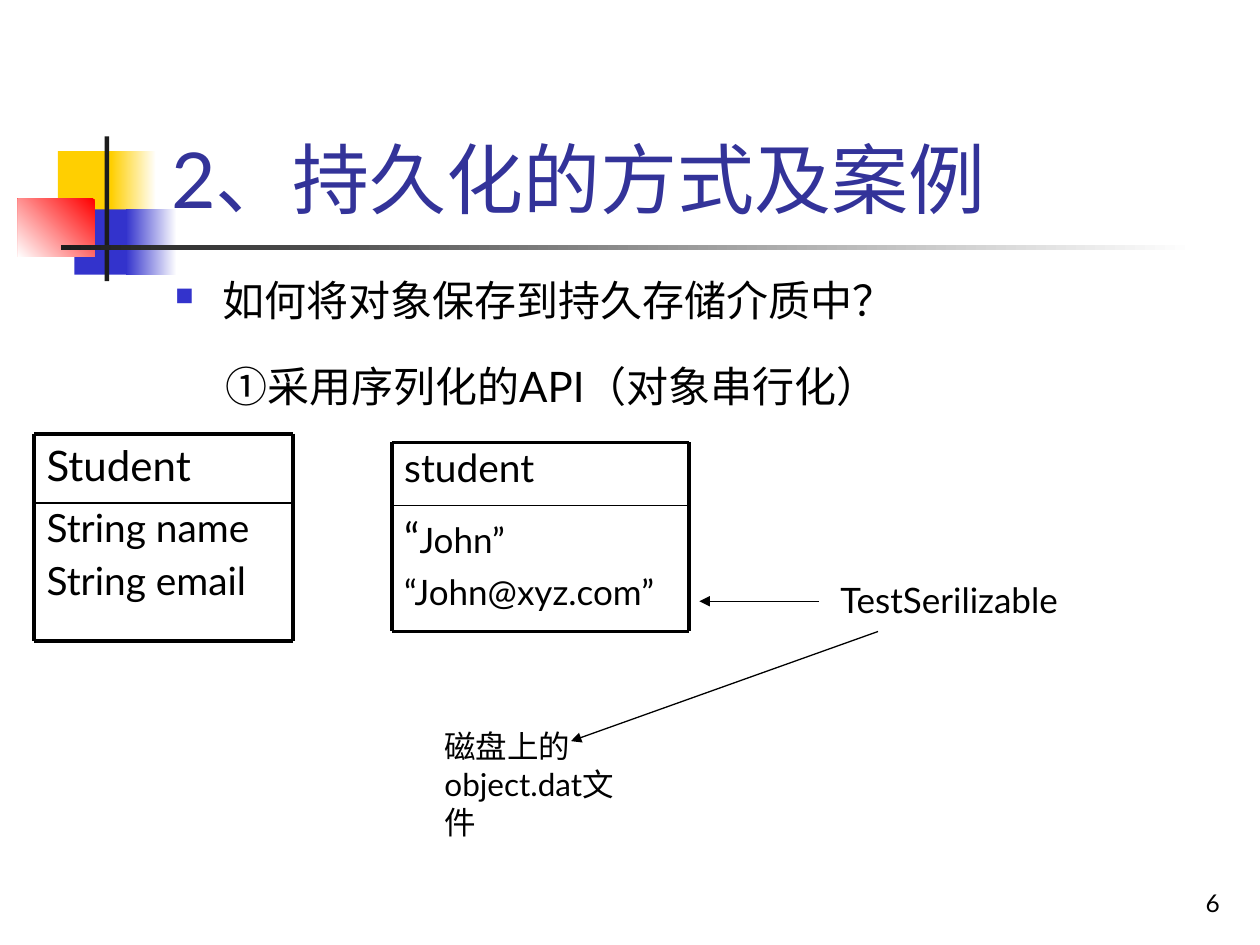
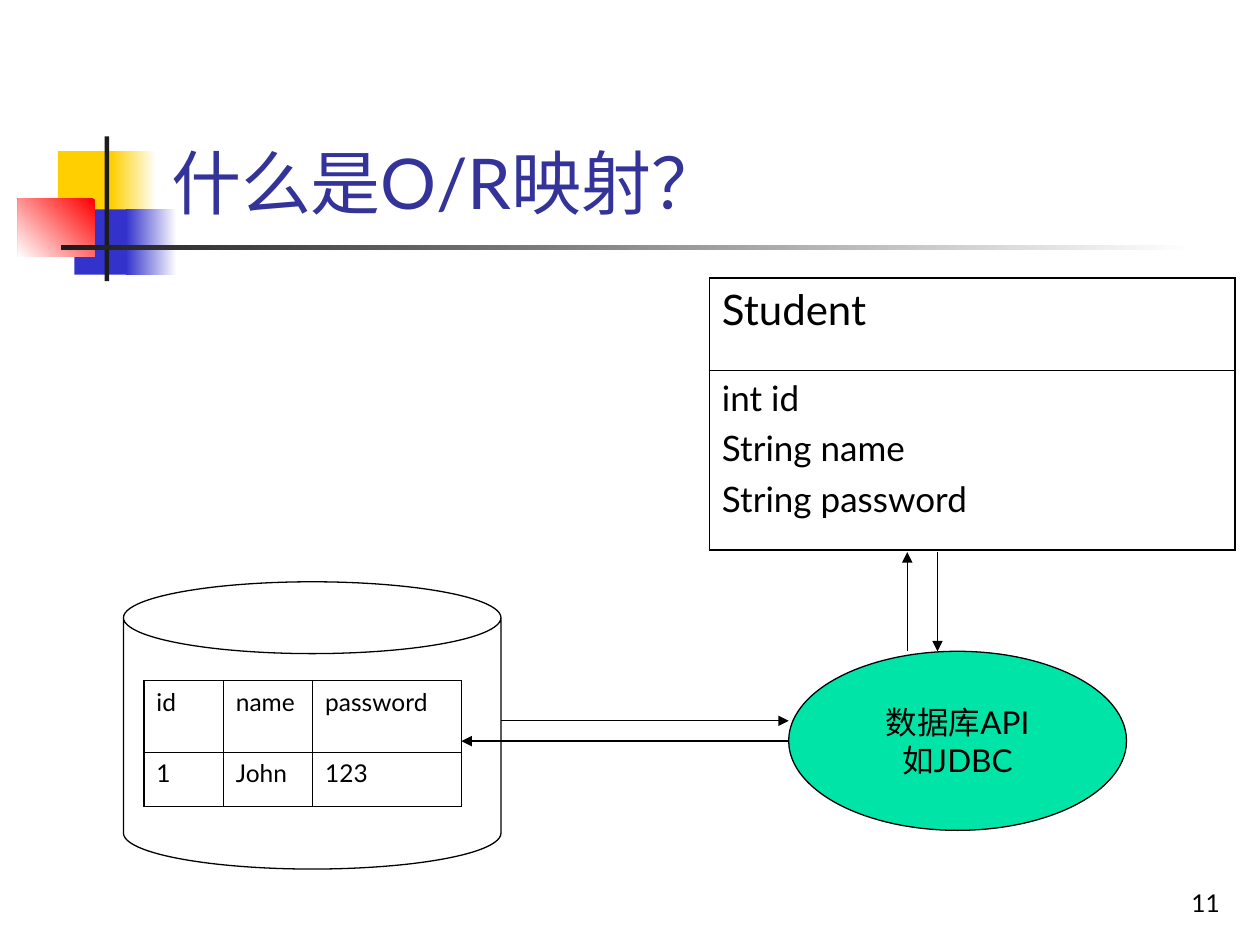
"""Build two slides on object persistence and O/R mapping."""
from dataclasses import dataclass

from lxml import etree
from pptx import Presentation
from pptx.dml.color import RGBColor
from pptx.enum.shapes import MSO_CONNECTOR, MSO_SHAPE
from pptx.enum.text import MSO_ANCHOR, PP_ALIGN
from pptx.oxml.ns import qn
from pptx.util import Cm, Pt

RECTANGLE, OVAL, CAN = MSO_SHAPE.RECTANGLE, MSO_SHAPE.OVAL, MSO_SHAPE.CAN
STRAIGHT = MSO_CONNECTOR.STRAIGHT
TOP, MIDDLE, BOTTOM = MSO_ANCHOR.TOP, MSO_ANCHOR.MIDDLE, MSO_ANCHOR.BOTTOM
LEFT, CENTER, RIGHT = PP_ALIGN.LEFT, PP_ALIGN.CENTER, PP_ALIGN.RIGHT


@dataclass(frozen=True)
class Theme:
    font: str = "Lato"
    black: str = "000000"
    white: str = "FFFFFF"
    title: str = "333399"
    yellow: str = "FFCF01"
    blue: str = "3333CC"
    red: str = "FF0000"
    rule: str = "1C1C1C"
    green: str = "00E4A8"
    heading: float = 24
    field: float = 22.2
    value: float = 20
    label: float = 18
    small: float = 14
    frame: float = 2.25
    divider: float = 1
    thin: float = 0.75
    cell_outer: float = 1.08
    cell_inner: float = 0.45


theme = Theme()


def write(frame, text, size, color=theme.black, align=LEFT, gap=0, spacing=None):
    frame.text = text
    for index, paragraph in enumerate(frame.paragraphs):
        paragraph.alignment = align
        paragraph.line_spacing = spacing
        if index and gap:
            paragraph.space_before = Pt(gap)
        for run in paragraph.runs:
            run.font.name = theme.font
            run.font.size = Pt(size)
            run.font.color.rgb = RGBColor.from_string(color)


def add_line(slide, start, end, width=theme.thin, arrow=False):
    line = slide.shapes.add_connector(STRAIGHT, *map(Cm, start + end))
    line.line.color.rgb = RGBColor.from_string(theme.black)
    line.line.width = Pt(width)
    if arrow:
        etree.SubElement(line.line._get_or_add_ln(), qn("a:tailEnd"), type="triangle")
    etree.SubElement(line._element.spPr, qn("a:effectLst"))


prs = Presentation()
prs.slide_width, prs.slide_height = Cm(25.4), Cm(19.05)

ornaments = [
    ((1.17, 3.05, 1.22, 1.32), [theme.yellow], 0),
    ((2.24, 3.05, 0.91, 1.32), [theme.white, theme.yellow], 180),
    ((1.5, 4.22, 1.17, 1.32), [theme.blue], 0),
    ((2.54, 4.22, 1.02, 1.32), [theme.white, theme.blue], 180),
    ((0.36, 4.01, 1.55, 1.17), [theme.red, theme.white], 225),
    ((2.11, 2.75, 0.09, 2.92), [theme.rule], 0),
    ((1.23, 4.94, 22.86, 0.1), [theme.white, theme.rule], 180),
]
headings = [("2、持久化的方式及案例", 44, "6"), ("什么是O/R映射？", 40, "11")]

for title, title_size, number in headings:
    slide = prs.slides.add_slide(prs.slide_layouts[6])
    for box, colors, angle in ornaments:
        ornament = slide.shapes.add_shape(RECTANGLE, *map(Cm, box))
        ornament.shadow.inherit = False
        ornament.line.fill.background()
        if len(colors) == 1:
            ornament.fill.solid()
            ornament.fill.fore_color.rgb = RGBColor.from_string(colors[0])
        else:
            ornament.fill.gradient()
            ornament.fill.gradient_angle = angle
            for stop, color in zip(ornament.fill.gradient_stops, colors):
                stop.color.rgb = RGBColor.from_string(color)
    for box, text, size, color, align in [
        ((3.2, 0.58, 21.64, 4.06), title, title_size, theme.title, LEFT),
        ((19.56, 17.35, 5.28, 1.27), number, theme.small, theme.black, RIGHT),
    ]:
        frame = slide.shapes.add_textbox(*map(Cm, box)).text_frame
        frame.word_wrap = True
        frame.vertical_anchor = BOTTOM
        write(frame, text, size, color, align)

persistence, mapping = prs.slides

statements = [
    ((3.28, 5.61, 20.42, 1.12), "如何将对象保存到持久存储介质中？", theme.heading, 0, 0.8),
    ((4.29, 7.14, 19.41, 1.27), "①采用序列化的API（对象串行化）", theme.heading, 0, None),
    ((7.9, 8.92, 5.99, 1.27), "student", theme.field, 0, 0.9),
    ((7.9, 10.19, 5.99, 2.54), "“John”\n“John@xyz.com”", theme.value, 5, None),
    ((0.69, 8.74, 5.21, 1.4), "Student", theme.heading, 0, None),
    ((0.69, 10.14, 5.21, 2.79), "String name\nString email", theme.field, 6, 0.9),
    ((8.71, 14.53, 3.99, 2.54), "磁盘上的object.dat文件", theme.label, 0, None),
    ((16.69, 11.53, 5.21, 1.96), "TestSerilizable", theme.value, 0, None),
]
frames = []
for box, text, size, gap, spacing in statements:
    frame = persistence.shapes.add_textbox(*map(Cm, box)).text_frame
    frame.word_wrap = True
    write(frame, text, size, gap=gap, spacing=spacing)
    frames.append(frame)

question = frames[0].paragraphs[0]._p.get_or_add_pPr()
question.set("marL", str(Cm(0.95)))
question.set("indent", str(Cm(-0.95)))
bullet_color = etree.SubElement(question, qn("a:buClr"))
etree.SubElement(bullet_color, qn("a:srgbClr"), val=theme.blue)
etree.SubElement(question, qn("a:buSzPct"), val="60000")
etree.SubElement(question, qn("a:buChar"), char="■")

john = frames[3].paragraphs[0]
john.text = "“"
john.add_run().text = "John”"
for run, size in zip(john.runs, (theme.heading, theme.value)):
    run.font.name = theme.font
    run.font.size = Pt(size)
    run.font.color.rgb = RGBColor.from_string(theme.black)

for left, top, width, head, body in [
    (7.9, 8.92, 5.99, 1.27, 2.54),
    (0.69, 8.74, 5.21, 1.4, 2.79),
]:
    right, middle, bottom = left + width, top + head, top + head + body
    add_line(persistence, (left, middle), (right, middle), theme.divider)
    for y in (top, bottom):
        add_line(persistence, (left, y), (right, y), theme.frame)
    for x in (left, right):
        add_line(persistence, (x, top), (x, bottom), theme.frame)

add_line(persistence, (16.51, 12.12), (14.1, 12.12), arrow=True)
add_line(persistence, (17.7, 12.73), (11.51, 14.94), arrow=True)

for kind, box, color, text in [
    (OVAL, (15.9, 13.13, 6.81, 3.61), theme.green, "数据库API\n如JDBC"),
    (CAN, (2.49, 11.73, 7.61, 5.79), theme.white, ""),
]:
    node = mapping.shapes.add_shape(kind, *map(Cm, box))
    node.shadow.inherit = False
    node.fill.solid()
    node.fill.fore_color.rgb = RGBColor.from_string(color)
    node.line.color.rgb = RGBColor.from_string(theme.black)
    node.line.width = Pt(theme.thin)
    if text:
        node.text_frame.word_wrap = False
        node.text_frame.vertical_anchor = MIDDLE
        write(node.text_frame, text, theme.label, align=CENTER)

student_class = [["Student"], ["int id\nString name\nString password"]]
student_rows = [["id", "name", "password"], ["1", "John", "123"]]
for left, top, widths, heights, content, sizes in [
    (14.3, 5.61, [10.59], [1.85, 3.63], student_class, (theme.heading, theme.value)),
    (2.9, 13.72, [1.6, 1.8, 3], [1.45, 1.09], student_rows, (theme.small, theme.small)),
]:
    last_row, last_column = len(heights) - 1, len(widths) - 1
    grid = mapping.shapes.add_table(
        len(heights), len(widths), Cm(left), Cm(top), Cm(sum(widths)), Cm(sum(heights))
    ).table
    grid.first_row = grid.horz_banding = False
    for column, width in zip(grid.columns, widths):
        column.width = Cm(width)
    for r, (height, texts, size) in enumerate(zip(heights, content, sizes)):
        grid.rows[r].height = Cm(height)
        for c, text in enumerate(texts):
            cell = grid.cell(r, c)
            cell.vertical_anchor = TOP
            write(cell.text_frame, text, size, gap=5)
            properties = cell._tc.get_or_add_tcPr()
            for side, is_outer in [
                ("lnL", c == 0),
                ("lnR", c == last_column),
                ("lnT", r == 0),
                ("lnB", r == last_row),
            ]:
                weight = theme.cell_outer if is_outer else theme.cell_inner
                border = etree.SubElement(properties, qn(f"a:{side}"), w=str(Pt(weight)))
                paint = etree.SubElement(border, qn("a:solidFill"))
                etree.SubElement(paint, qn("a:srgbClr"), val=theme.black)
            cell.fill.background()

for start, end in [
    ((18.9, 11.13), (18.9, 13.13)),
    ((15.9, 14.94), (9.3, 14.94)),
    ((10.1, 14.53), (15.9, 14.53)),
    ((18.29, 13.13), (18.29, 11.13)),
]:
    add_line(mapping, start, end, arrow=True)

prs.save("out.pptx")
